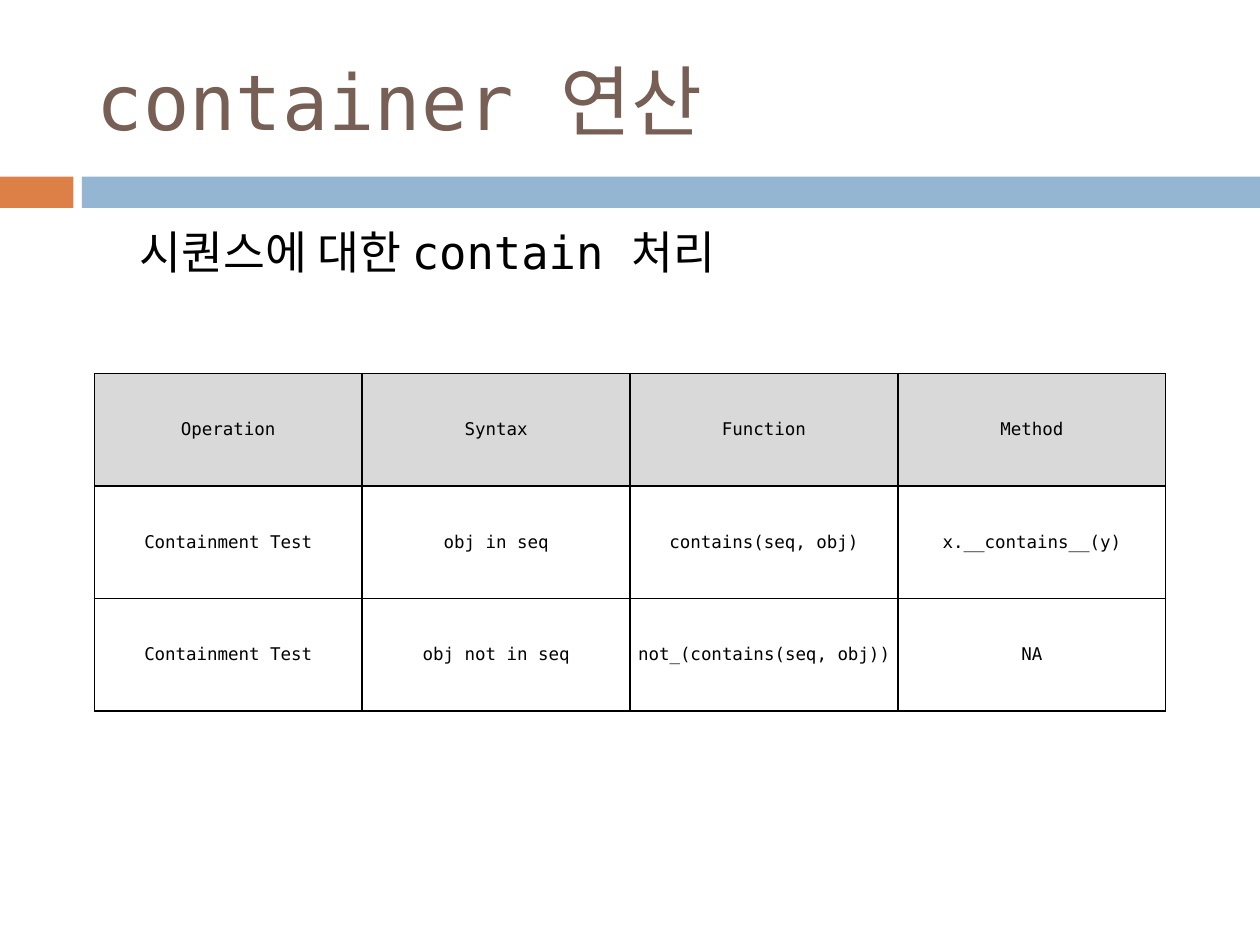
from lxml.etree import SubElement
from pptx import Presentation
from pptx.dml.color import RGBColor
from pptx.enum.shapes import MSO_SHAPE
from pptx.enum.text import MSO_ANCHOR, PP_ALIGN
from pptx.oxml.ns import qn
from pptx.util import Cm, Pt

FONT = "DejaVu Sans Mono"
ORANGE = RGBColor(0xDD, 0x80, 0x47)
BLUE = RGBColor(0x94, 0xB6, 0xD2)
BROWN = RGBColor(0x77, 0x5F, 0x55)
BLACK = RGBColor(0, 0, 0)
GRAY = RGBColor(0xD9, 0xD9, 0xD9)

OPERATIONS = [
    ["Operation", "Syntax", "Function", "Method"],
    ["Containment Test", "obj in seq", "contains(seq, obj)", "x.__contains__(y)"],
    ["Containment Test", "obj not in seq", "not_(contains(seq, obj))", "NA"],
]


def style_text(paragraph, size, color):
    for span in paragraph.runs:
        span.font.name = FONT
        span.font.size = Pt(size)
        span.font.color.rgb = color


def add_bar(slide, left, width, color):
    bar = slide.shapes.add_shape(
        MSO_SHAPE.RECTANGLE, Cm(left), Cm(3.56), Cm(width), Cm(0.63))
    bar.shadow.inherit = False
    bar.fill.solid()
    bar.fill.fore_color.rgb = color
    bar.line.fill.background()


def add_text(slide, text, left, top, width, height, size, color, anchor):
    box = slide.shapes.add_textbox(Cm(left), Cm(top), Cm(width), Cm(height))
    frame = box.text_frame
    frame.word_wrap = True
    frame.vertical_anchor = anchor
    frame.text = text
    style_text(frame.paragraphs[0], size, color)


def add_cell_borders(cell):
    properties = cell._tc.get_or_add_tcPr()
    for position, side in enumerate(("a:lnL", "a:lnR", "a:lnT", "a:lnB")):
        line = properties.makeelement(qn(side), {"w": str(Pt(1))})
        fill = SubElement(line, qn("a:solidFill"))
        SubElement(fill, qn("a:srgbClr"), val=str(BLACK))
        properties.insert(position, line)


def fill_cell(cell, text, is_header):
    cell.text = text
    cell.vertical_anchor = MSO_ANCHOR.MIDDLE
    cell.margin_left = cell.margin_right = Cm(0.05)
    cell.margin_top = cell.margin_bottom = Cm(0.03)
    paragraph = cell.text_frame.paragraphs[0]
    paragraph.alignment = PP_ALIGN.CENTER
    style_text(paragraph, 10, BLACK)
    if is_header:
        cell.fill.solid()
        cell.fill.fore_color.rgb = GRAY
    else:
        cell.fill.background()
    add_cell_borders(cell)


def add_operation_table(slide):
    table = slide.shapes.add_table(
        len(OPERATIONS), len(OPERATIONS[0]),
        Cm(1.9), Cm(7.53), Cm(21.6), Cm(6.8)).table
    for row, texts in enumerate(OPERATIONS):
        for column, text in enumerate(texts):
            fill_cell(table.cell(row, column), text, row == 0)


def main():
    deck = Presentation()
    deck.slide_width, deck.slide_height = Cm(25.4), Cm(19.05)
    slide = deck.slides.add_slide(deck.slide_layouts[6])
    add_bar(slide, 0, 1.48, ORANGE)
    add_bar(slide, 1.65, 23.75, BLUE)
    add_text(slide, "container 연산", 1.7, 0.64, 22.66, 2.74,
             44, BROWN, MSO_ANCHOR.MIDDLE)
    add_text(slide, "시퀀스에 대한 contain 처리", 2.57, 4.39, 21.59, 2.54,
             26, BLACK, MSO_ANCHOR.TOP)
    add_operation_table(slide)
    deck.save("out.pptx")


if __name__ == "__main__":
    main()
